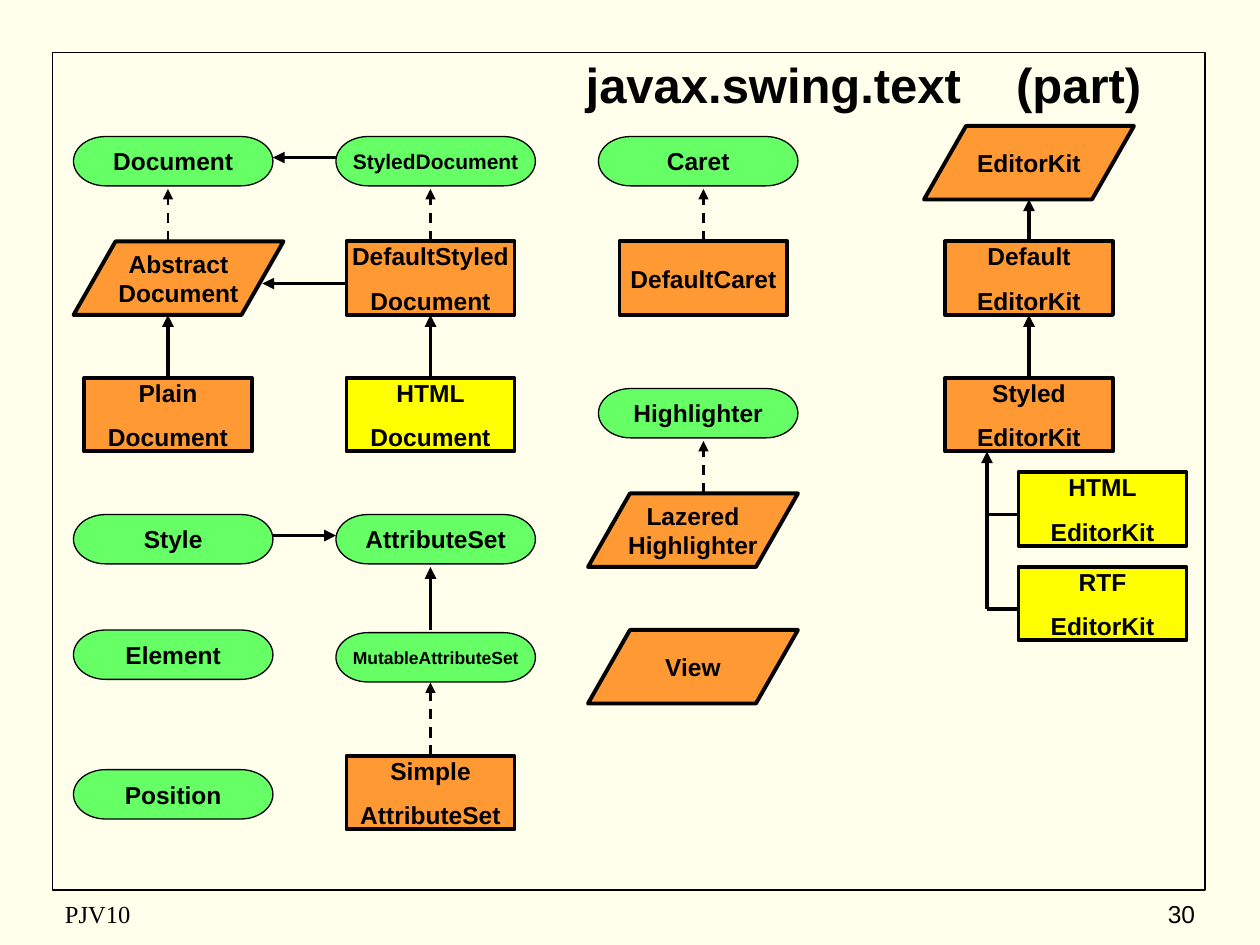
from dataclasses import dataclass

from lxml import etree
from pptx import Presentation
from pptx import util as u
from pptx.dml.color import RGBColor
from pptx.enum import dml, shapes, text
from pptx.oxml import ns


@dataclass(frozen=True)
class Theme:
    background: str = "FFFFEB"
    ink: str = "000000"
    interface: str = "66FF66"
    swing_class: str = "FF9933"
    format_class: str = "FFFF00"
    font: str = "Arial"
    footer_font: str = "Times New Roman"
    title_size: float = 28
    body_size: float = 14
    long_size: float = 12
    longest_size: float = 10
    thin: float = 0.75
    frame: float = 1
    dashed: float = 1.5
    thick: float = 2.25


THEME = Theme()


def grid(n):
    return u.Cm(2.54 * n / 12)


def rgb(value):
    return RGBColor.from_string(value)


def write(s, content, size=THEME.body_size, font=THEME.font, bold=True,
          align=text.PP_ALIGN.CENTER, wrap=False, gap=0, tab=None):
    tf = s.text_frame
    tf.word_wrap = wrap
    tf.vertical_anchor = text.MSO_ANCHOR.MIDDLE
    tf.margin_left = tf.margin_right = u.Cm(0.25)
    tf.margin_top = tf.margin_bottom = u.Cm(0.13)
    for i, line in enumerate(content.split("\n")):
        p = tf.add_paragraph() if i else tf.paragraphs[0]
        p.alignment = align
        if i:
            p.space_before = u.Pt(gap)
        if tab:
            tabs = etree.SubElement(p._p.get_or_add_pPr(), ns.qn("a:tabLst"))
            etree.SubElement(tabs, ns.qn("a:tab"), pos=str(tab), algn="l")
        r = p.add_run()
        r.text = line
        r.font.name = font
        r.font.size = u.Pt(size)
        r.font.bold = bold
        r.font.color.rgb = rgb(THEME.ink)


def add_label(sp, x, y, w, h, content, **style):
    s = sp.add_textbox(grid(x), grid(y), grid(w), grid(h))
    write(s, content, wrap=True, **style)


def add_box(sp, kind, x, y, w, h, fill=None, line=THEME.thick):
    s = sp.add_shape(kind, grid(x), grid(y), grid(w), grid(h))
    s.shadow.inherit = False
    if fill:
        s.fill.solid()
        s.fill.fore_color.rgb = rgb(fill)
    else:
        s.fill.background()
    s.line.color.rgb = rgb(THEME.ink)
    s.line.width = u.Pt(line)
    return s


def add_interface(sp, x, y, name, size=THEME.body_size):
    s = add_box(sp, shapes.MSO_SHAPE.FLOWCHART_TERMINATOR, x, y, 19, 4.7,
                THEME.interface, THEME.thin)
    write(s, name, size=size)


def add_abstract(sp, x, y, name):
    s = add_box(sp, shapes.MSO_SHAPE.FLOWCHART_DATA, x, y, 20, 7, THEME.swing_class)
    write(s, name)


def add_class(sp, x, y, name, fill=THEME.swing_class):
    s = add_box(sp, shapes.MSO_SHAPE.RECTANGLE, x, y, 16, 7, fill)
    write(s, name, gap=8.8)


def add_line(sp, x1, y1, x2, y2, arrow=True, dashed=False):
    c = sp.add_connector(shapes.MSO_CONNECTOR.STRAIGHT,
                         grid(x1), grid(y1), grid(x2), grid(y2))
    c.line.color.rgb = rgb(THEME.ink)
    c.line.width = u.Pt(THEME.dashed if dashed else THEME.thick)
    if dashed:
        c.line.dash_style = dml.MSO_LINE.DASH
    if arrow:
        etree.SubElement(c.line._get_or_add_ln(), ns.qn("a:tailEnd"), type="triangle")
    etree.SubElement(c._element.spPr, ns.qn("a:effectLst"))


def add_page(sp):
    add_box(sp, shapes.MSO_SHAPE.RECTANGLE, 5, 5, 109.8, 79.8, line=THEME.frame)
    add_label(sp, 5, 85, 38, 4, "PJV10", font=THEME.footer_font, bold=False,
              align=text.PP_ALIGN.LEFT)
    add_label(sp, 90, 85, 25, 4, "30", bold=False, align=text.PP_ALIGN.RIGHT)
    add_label(sp, 54.6, 4, 58, 8, "javax.swing.text\t(part)", size=THEME.title_size,
              align=text.PP_ALIGN.LEFT, tab=grid(41))


def add_types(sp):
    for x, y, name in [
        (7, 13, "Document"), (7, 49, "Style"), (7, 60, "Element"),
        (7, 73.3, "Position"), (32, 49, "AttributeSet"),
        (57, 13, "Caret"), (57, 37, "Highlighter"),
    ]:
        add_interface(sp, x, y, name)
    add_interface(sp, 32, 13, "StyledDocument", THEME.long_size)
    add_interface(sp, 32, 60.25, "MutableAttributeSet", THEME.longest_size)

    for x, y, name in [
        (7, 23, "Abstract\nDocument"), (56, 47, "Lazered\nHighlighter"),
        (56, 60, "View"), (88, 12, "EditorKit"),
    ]:
        add_abstract(sp, x, y, name)

    for x, y, name in [
        (8, 36, "Plain\nDocument"), (33, 23, "DefaultStyled\nDocument"),
        (33, 72, "Simple\nAttributeSet"), (59, 23, "DefaultCaret"),
        (90, 23, "Default\nEditorKit"), (90, 36, "Styled\nEditorKit"),
    ]:
        add_class(sp, x, y, name)

    for x, y, name in [
        (33, 36, "HTML\nDocument"), (97, 45, "HTML\nEditorKit"),
        (97, 54, "RTF\nEditorKit"),
    ]:
        add_class(sp, x, y, name, THEME.format_class)


def add_relations(sp):
    for x, start, end in [(16, 23, 18), (41, 23, 18), (67, 23, 18),
                          (67, 47, 42), (41, 72, 65)]:
        add_line(sp, x, start, x, end, dashed=True)
    for x, start, end in [(16, 36, 30), (41, 36, 30), (41, 60, 54),
                          (98, 23, 19), (98, 36, 30), (94, 58, 43)]:
        add_line(sp, x, start, x, end)
    for y, start, end in [(15, 32, 26), (27, 33, 25), (51, 26, 32)]:
        add_line(sp, start, y, end, y)
    for y in (49, 58):
        add_line(sp, 94, y, 97, y, arrow=False)


def main():
    prs = Presentation()
    prs.slide_width, prs.slide_height = grid(120), grid(90)
    slide = prs.slides.add_slide(prs.slide_layouts[6])
    slide.background.fill.solid()
    slide.background.fill.fore_color.rgb = rgb(THEME.background)
    sp = slide.shapes
    add_page(sp)
    add_types(sp)
    add_relations(sp)
    prs.save("out.pptx")


if __name__ == "__main__":
    main()
